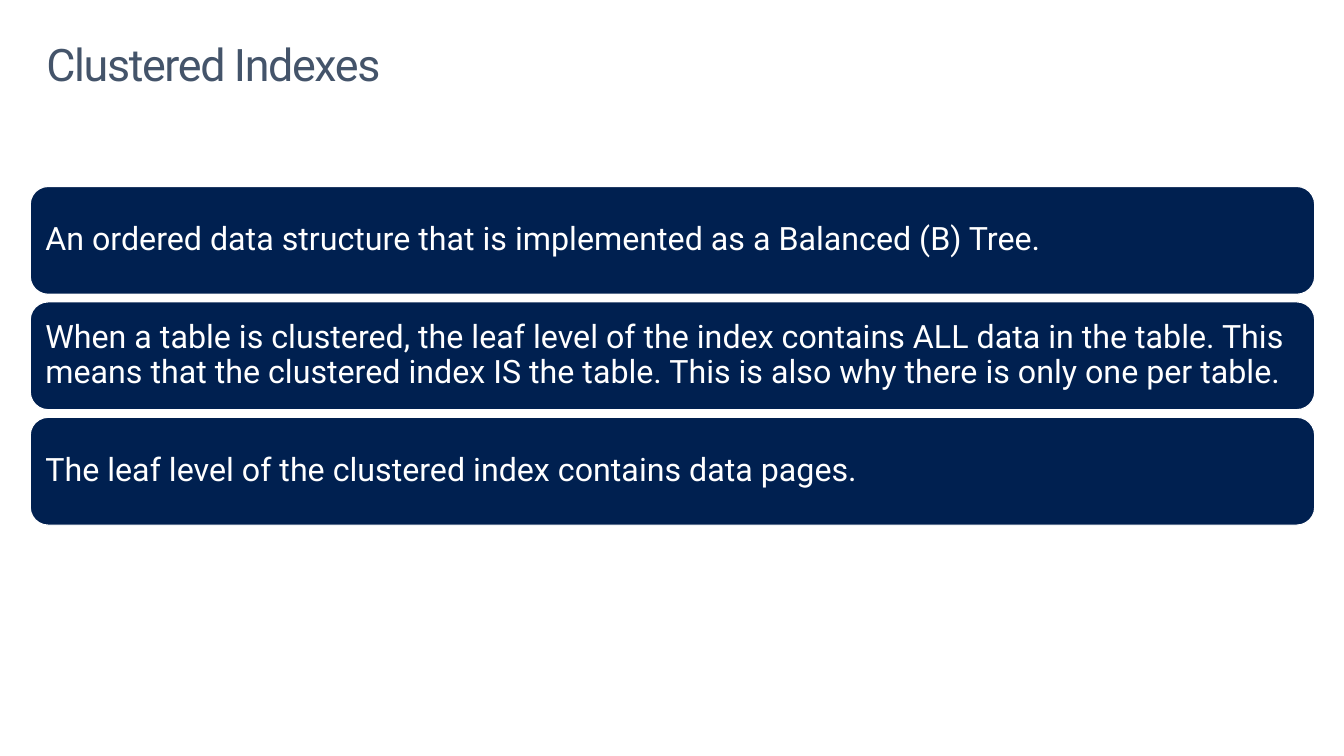
from dataclasses import dataclass

from pptx import Presentation
from pptx.dml.color import RGBColor
from pptx.enum.shapes import MSO_SHAPE
from pptx.enum.text import MSO_ANCHOR, MSO_AUTO_SIZE, PP_ALIGN
from pptx.slide import Slide
from pptx.text.text import TextFrame, _Run
from pptx.util import Inches, Pt

SLIDE_WIDTH, SLIDE_HEIGHT = Inches(13.33), Inches(7.5)
FONT = "Roboto"
NAVY, SLATE, WHITE = "002050", "44546A", "FFFFFF"

# Grid: one column of cards, stacked at an equal pitch
LEFT, CARD_WIDTH, CARD_HEIGHT = Inches(0.3), Inches(12.74), Inches(1.07)
FIRST_ROW, ROW_PITCH = Inches(1.85), Inches(1.145)


@dataclass(frozen=True)
class Card:
    row: int
    text: str


CARDS = [
    Card(0, "An ordered data structure that is implemented as a Balanced (B) Tree."),
    Card(1, "When a table is clustered, the leaf level of the index contains ALL data "
            "in the table. This means that the clustered index IS the table. "
            "This is also why there is only one per table."),
    Card(2, "The leaf level of the clustered index contains data pages."),
]


def color(value: str) -> RGBColor:
    return RGBColor.from_string(value)


def write_text(frame: TextFrame, text: str, size: float, text_color: str,
               inset: float, anchor: MSO_ANCHOR) -> _Run:
    frame.word_wrap = True
    frame.auto_size = MSO_AUTO_SIZE.NONE
    frame.vertical_anchor = anchor
    frame.margin_left = frame.margin_right = Inches(inset)
    frame.margin_top = frame.margin_bottom = Inches(0.1)
    paragraph = frame.paragraphs[0]
    paragraph.alignment = PP_ALIGN.LEFT
    paragraph.line_spacing = 0.9
    run = paragraph.add_run()
    run.text = text
    run.font.name = FONT
    run.font.size = Pt(size)
    run.font.color.rgb = color(text_color)
    return run


def add_title(slide: Slide, text: str) -> None:
    title = slide.shapes.title
    title.left, title.top = LEFT, Inches(0.32)
    title.width, title.height = CARD_WIDTH, Inches(0.98)
    run = write_text(title.text_frame, text, 32, SLATE, 0.16, MSO_ANCHOR.TOP)
    # Tighten the letters by one point
    run.font._element.set("spc", "-100")


def add_card(slide: Slide, card: Card) -> None:
    shape = slide.shapes.add_shape(
        MSO_SHAPE.ROUNDED_RECTANGLE, LEFT, FIRST_ROW + card.row * ROW_PITCH,
        CARD_WIDTH, CARD_HEIGHT)
    shape.shadow.inherit = False
    shape.fill.solid()
    shape.fill.fore_color.rgb = color(NAVY)
    shape.line.color.rgb = color(WHITE)
    shape.line.width = Pt(0.85)
    # The rounded corners add about 0.05 inch to the text inset
    write_text(shape.text_frame, card.text, 23, WHITE, 0.1, MSO_ANCHOR.MIDDLE)


def main() -> None:
    presentation = Presentation()
    presentation.slide_width, presentation.slide_height = SLIDE_WIDTH, SLIDE_HEIGHT
    slide = presentation.slides.add_slide(presentation.slide_layouts[5])
    add_title(slide, "Clustered Indexes")
    for card in CARDS:
        add_card(slide, card)
    presentation.save("out.pptx")


if __name__ == "__main__":
    main()
